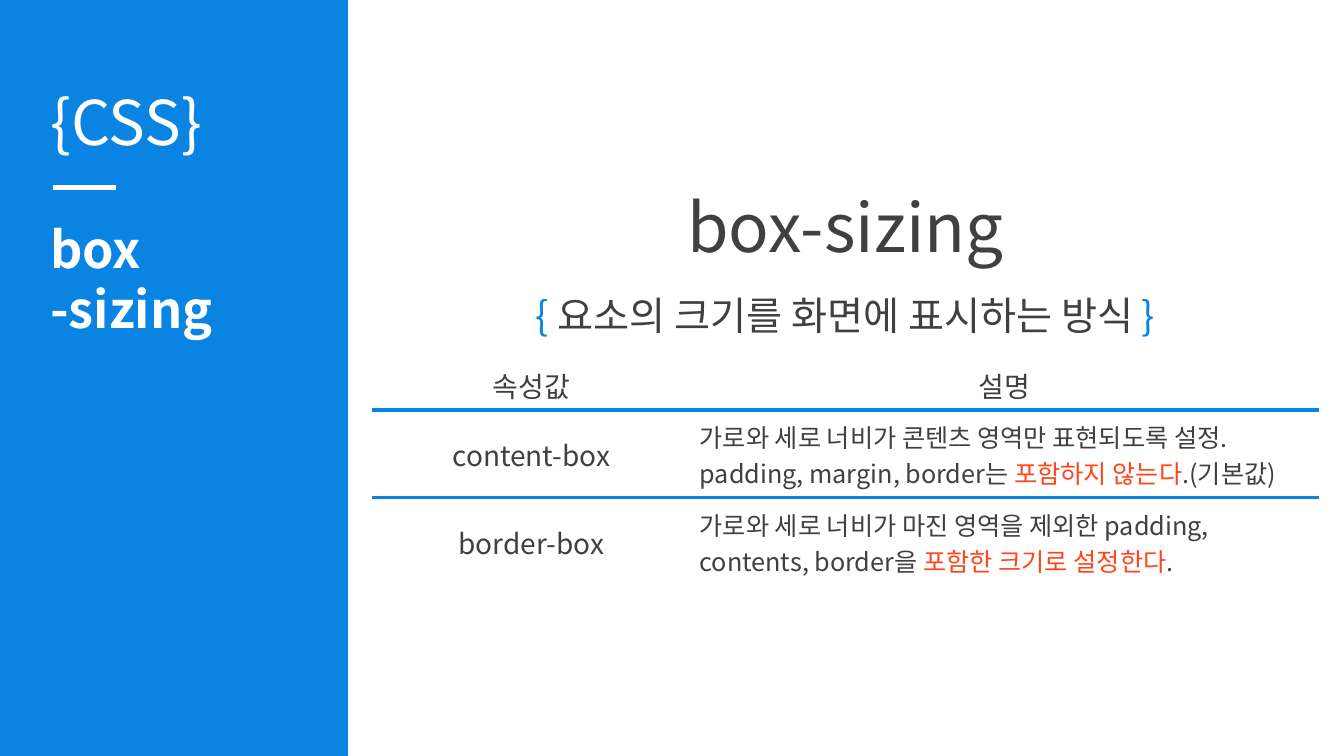
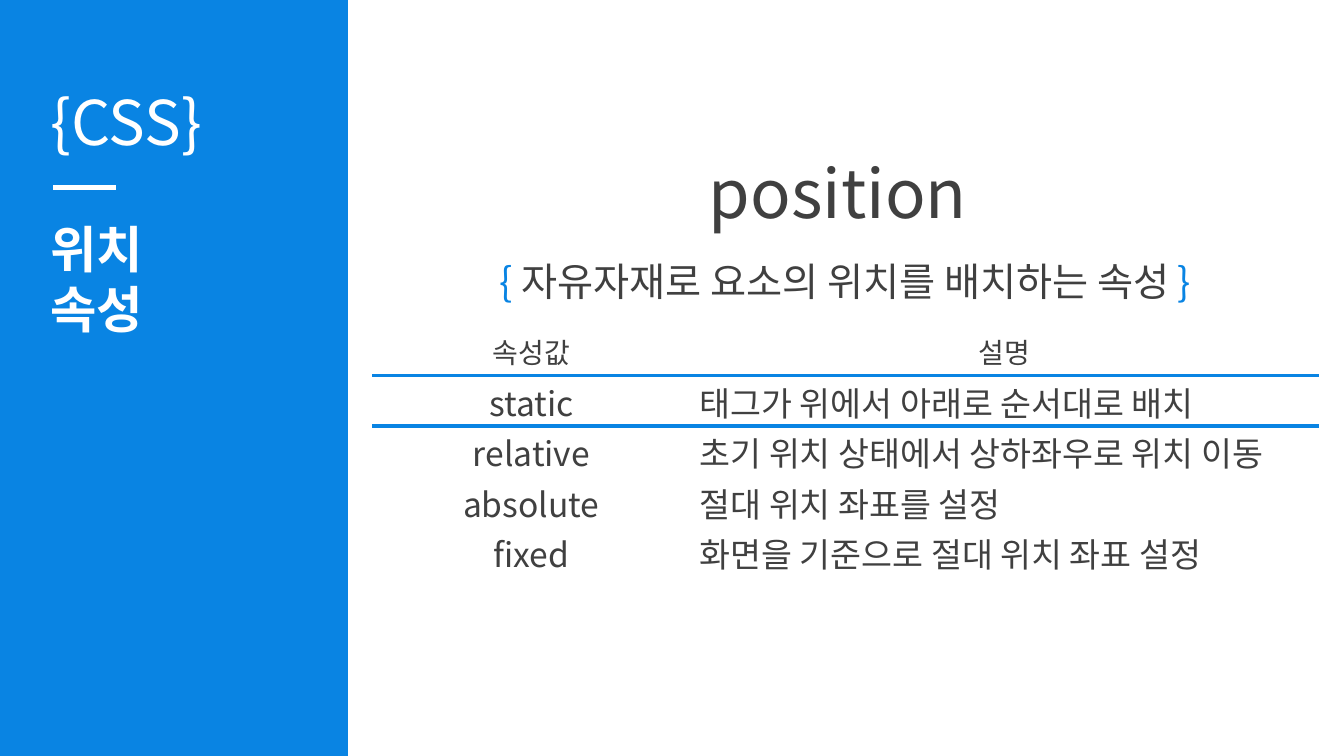
from dataclasses import dataclass
from typing import NamedTuple

from lxml.etree import SubElement
from pptx import Presentation
from pptx.dml.color import RGBColor
from pptx.enum.shapes import MSO_CONNECTOR, MSO_SHAPE
from pptx.enum.text import MSO_ANCHOR, PP_ALIGN
from pptx.oxml import parse_xml
from pptx.oxml.ns import nsdecls, qn
from pptx.slide import Slide
from pptx.table import _Cell
from pptx.text.text import TextFrame
from pptx.util import Inches, Pt

BLUE = RGBColor(0x09, 0x84, 0xE3)
WHITE = RGBColor(0xFF, 0xFF, 0xFF)
GRAY = RGBColor(0x40, 0x40, 0x40)
RED = RGBColor(0xFF, 0x45, 0x19)
FONT = "Noto Sans CJK KR"
WIDTH, HEIGHT = 13.33, 7.5
SIDE = 3.45
HEAD = 0.51
COLS = (3.14, 6.24)


class Part(NamedTuple):
    text: str
    tone: RGBColor = GRAY


Line = tuple[Part, ...]


class Style(NamedTuple):
    size: int
    bold: bool = False
    align: PP_ALIGN = PP_ALIGN.LEFT


class Row(NamedTuple):
    value: str
    lines: tuple[Line, ...]


@dataclass
class Topic:
    label: tuple[str, ...]
    title: str
    brief: str
    top: float
    row: float
    key: int
    note: int
    rows: tuple[Row, ...]


TOPICS = (
    Topic(
        ("box", "-sizing"), "box-sizing", "요소의 크기를 화면에 표시하는 방식 ",
        1.79, 0.87, 20, 18,
        (
            Row("content-box", (
                (Part("가로와 세로 너비가 콘텐츠 영역만 표현되도록 설정."),),
                (Part("padding, margin, border는 "), Part("포함하지 않는다", RED),
                 Part(".(기본값)")),
            )),
            Row("border-box", (
                (Part("가로와 세로 너비가 마진 영역을 제외한 padding, contents, border을 "),
                 Part("포함한 크기로 설정한다", RED), Part(".")),
            )),
        ),
    ),
    Topic(
        ("위치", "속성"), "position ", "자유자재로 요소의 위치를 배치하는 속성 ",
        1.45, 0.5, 24, 24,
        (
            Row("static", ((Part("태그가 위에서 아래로 순서대로 배치"),),)),
            Row("relative", ((Part("초기 위치 상태에서 상하좌우로 위치 이동"),),)),
            Row("absolute", ((Part("절대 위치 좌표를 설정"),),)),
            Row("fixed", ((Part("화면을 기준으로 절대 위치 좌표 설정"),),)),
        ),
    ),
)


def write(frame: TextFrame, lines: tuple[Line, ...], style: Style) -> None:
    frame.word_wrap = True
    for index, line in enumerate(lines):
        para = frame.add_paragraph() if index else frame.paragraphs[0]
        para.alignment = style.align
        for part in line:
            run = para.add_run()
            run.text = part.text
            font = run.font
            font.name = FONT
            font.size = Pt(style.size)
            font.bold = style.bold
            font.color.rgb = part.tone
            SubElement(run._r.get_or_add_rPr(), qn("a:ea"), typeface=FONT)


def label(slide: Slide, left: float, top: float, width: float, height: float,
          lines: tuple[Line, ...], style: Style) -> None:
    box = slide.shapes.add_textbox(
        Inches(left), Inches(top), Inches(width), Inches(height))
    write(box.text_frame, lines, style)


def side(slide: Slide, names: tuple[str, ...]) -> None:
    band = slide.shapes.add_shape(
        MSO_SHAPE.RECTANGLE, 0, 0, Inches(SIDE), Inches(HEIGHT))
    band.shadow.inherit = False
    band.fill.solid()
    band.fill.fore_color.rgb = BLUE
    band.line.fill.background()
    rule = slide.shapes.add_connector(
        MSO_CONNECTOR.STRAIGHT, Inches(0.53), Inches(1.86), Inches(1.15), Inches(1.86))
    rule.line.color.rgb = WHITE
    rule.line.width = Pt(3)
    SubElement(rule._element.spPr, qn("a:effectLst"))
    label(slide, 0.4, 0.78, 2.8, 0.84, ((Part("{CSS}", WHITE),),), Style(44))
    lines = tuple((Part(name, WHITE),) for name in names)
    label(slide, 0.4, 2.11, 2.8, 1.31, lines, Style(36, True))


def edge(cell: _Cell, tag: str) -> None:
    line = parse_xml(
        f'<a:{tag} {nsdecls("a")} w="{Pt(3)}"><a:solidFill>'
        f'<a:srgbClr val="{BLUE}"/></a:solidFill></a:{tag}>')
    cell._tc.get_or_add_tcPr().insert(0, line)


def fill(cell: _Cell, lines: tuple[Line, ...], style: Style) -> None:
    cell.fill.background()
    cell.vertical_anchor = MSO_ANCHOR.MIDDLE
    cell.margin_left = Inches(0.1)
    cell.margin_right = Inches(0.05 if style.align == PP_ALIGN.LEFT else 0.1)
    cell.margin_top = Inches(0.02)
    cell.margin_bottom = 0
    write(cell.text_frame, lines, style)


def grid(slide: Slide, topic: Topic) -> None:
    count = len(topic.rows)
    table = slide.shapes.add_table(
        count + 1, len(COLS), Inches(3.7), Inches(topic.top + 1.765),
        Inches(sum(COLS)), Inches(HEAD + count * topic.row)).table
    table.first_row = False
    table.horz_banding = False
    for col, width in zip(table.columns, COLS):
        col.width = Inches(width)
    for index, row in enumerate(table.rows):
        row.height = Inches(topic.row if index else HEAD)
    for col, name in enumerate(("속성값", "설명")):
        fill(table.cell(0, col), ((Part(name),),), Style(20, align=PP_ALIGN.CENTER))
        edge(table.cell(0, col), "lnB")
        edge(table.cell(1, col), "lnT")
    for index, row in enumerate(topic.rows, 1):
        fill(table.cell(index, 0), ((Part(row.value),),),
             Style(topic.key, align=PP_ALIGN.CENTER))
        fill(table.cell(index, 1), row.lines, Style(topic.note))


def draw(slide: Slide, topic: Topic) -> None:
    side(slide, topic.label)
    span = WIDTH - 3.44
    label(slide, 3.44, topic.top, span, 0.91, ((Part(topic.title),),),
          Style(48, align=PP_ALIGN.CENTER))
    brief = (Part("{ ", BLUE), Part(topic.brief), Part("}", BLUE))
    label(slide, 3.44, topic.top + 1.05, span, 0.57, (brief,),
          Style(28, align=PP_ALIGN.CENTER))
    grid(slide, topic)


def main() -> None:
    deck = Presentation()
    deck.slide_width = Inches(WIDTH)
    deck.slide_height = Inches(HEIGHT)
    for topic in TOPICS:
        draw(deck.slides.add_slide(deck.slide_layouts[6]), topic)
    deck.save("out.pptx")


if __name__ == "__main__":
    main()
